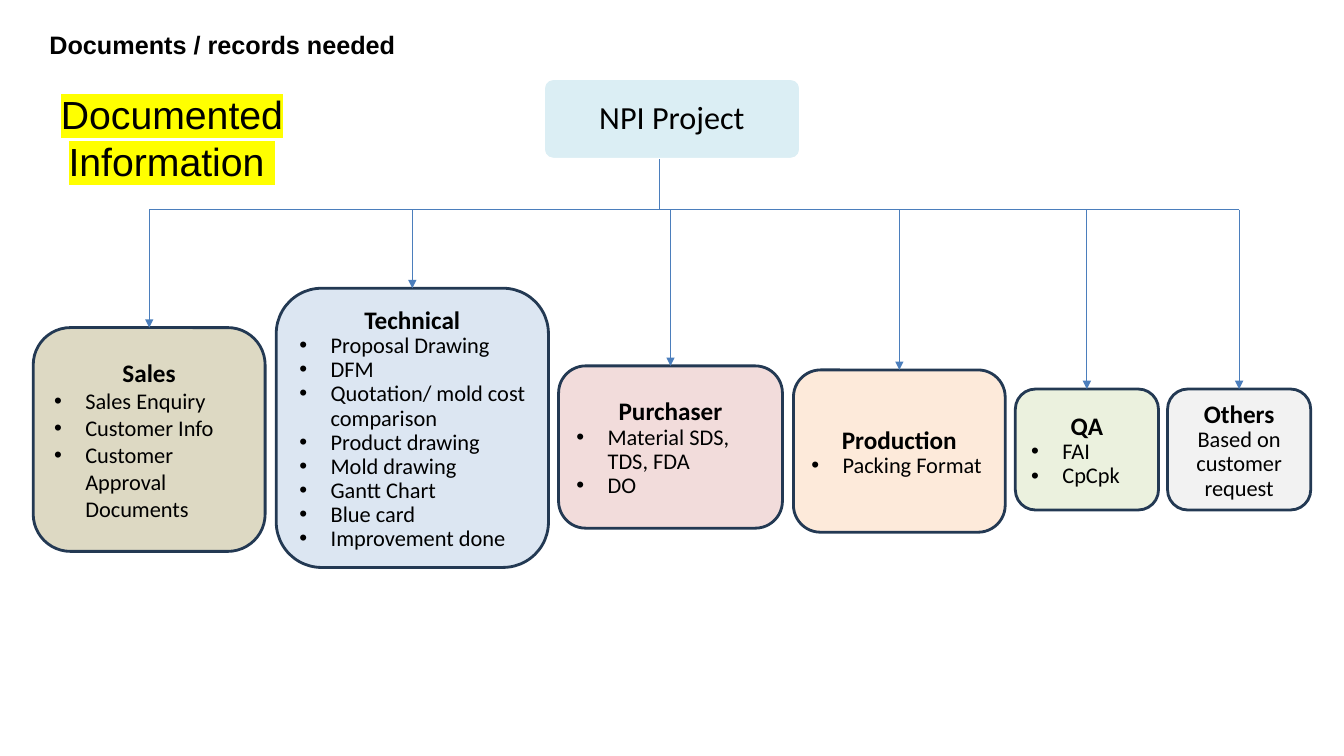
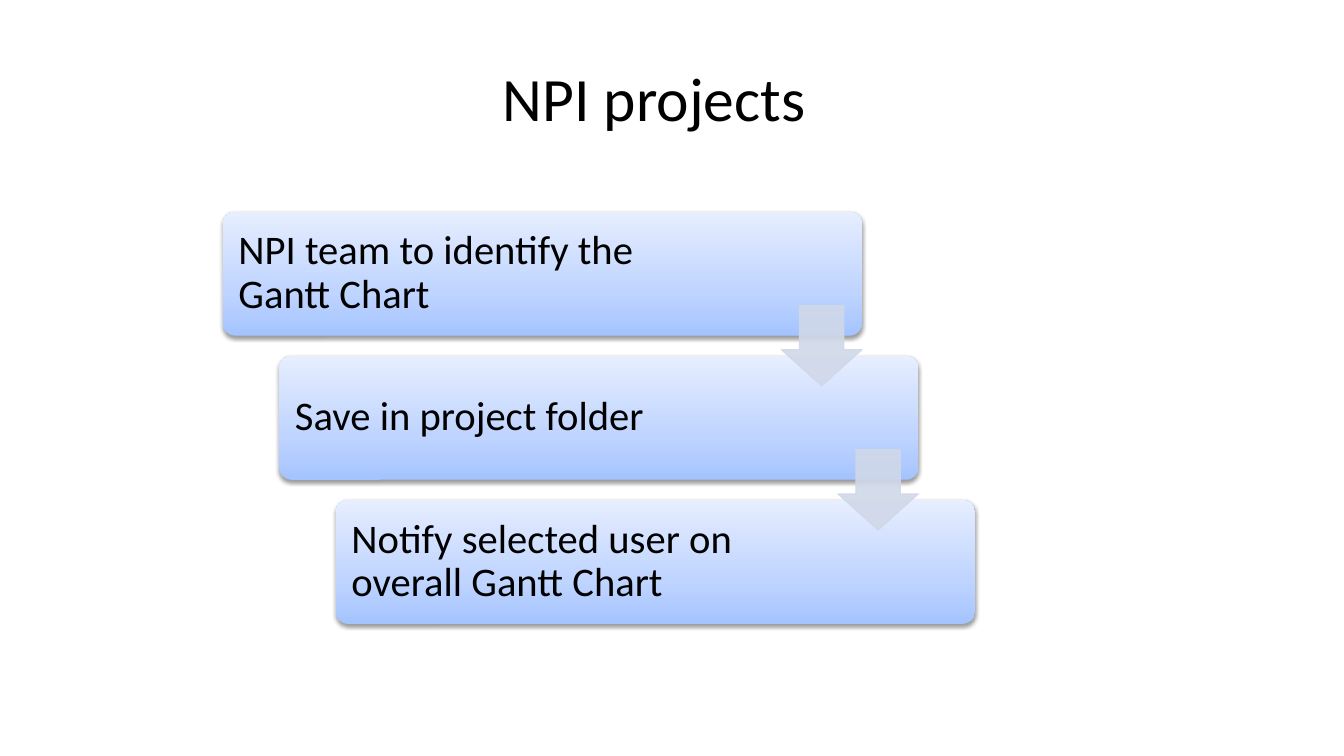
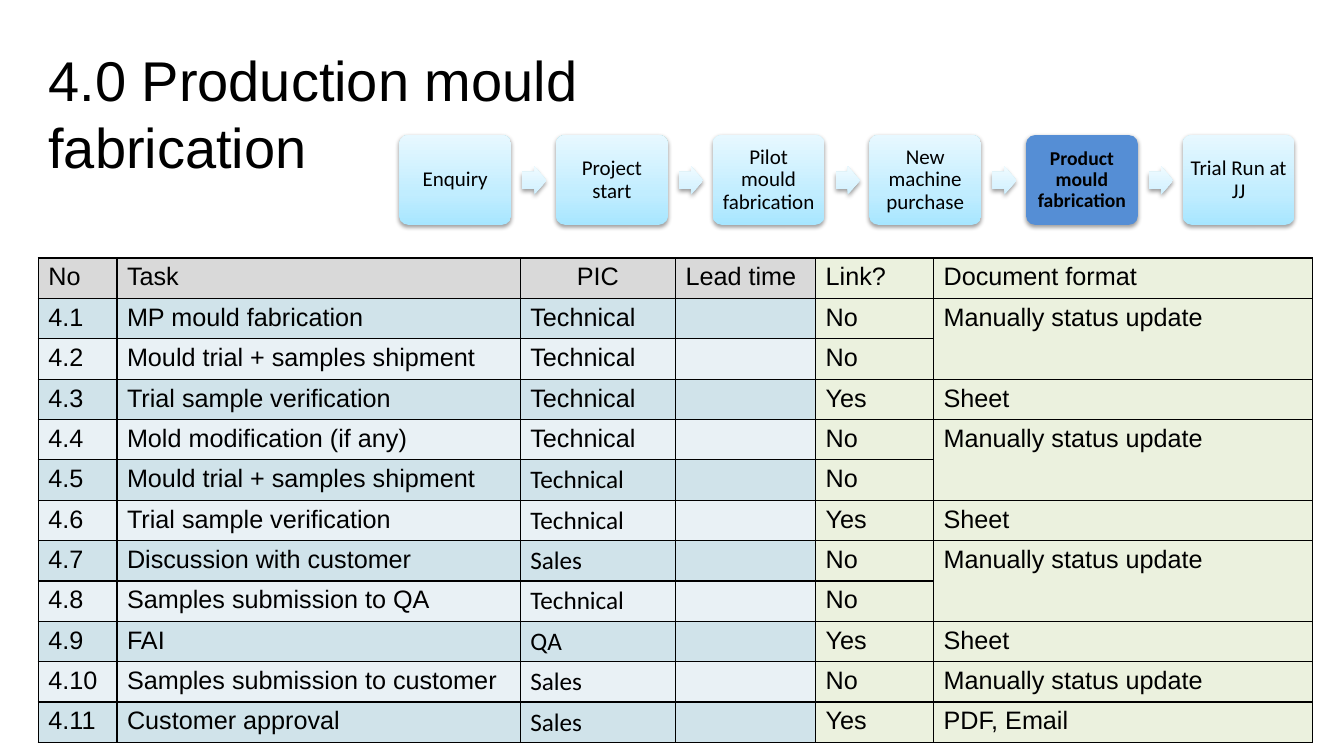
from lxml import etree
from pptx import Presentation
from pptx.dml.color import RGBColor
from pptx.enum.shapes import MSO_CONNECTOR, MSO_SHAPE
from pptx.enum.text import MSO_ANCHOR, MSO_AUTO_SIZE, PP_ALIGN
from pptx.oxml.ns import qn
from pptx.util import Inches, Pt

LEFT, CENTER = PP_ALIGN.LEFT, PP_ALIGN.CENTER
TOP, MIDDLE = MSO_ANCHOR.TOP, MSO_ANCHOR.MIDDLE
ROUNDED = MSO_SHAPE.ROUNDED_RECTANGLE
RIGHT_ARROW, DOWN_ARROW = MSO_SHAPE.RIGHT_ARROW, MSO_SHAPE.DOWN_ARROW
STRAIGHT = MSO_CONNECTOR.STRAIGHT
TITLE_ONLY = 5
SIDE_TOP = 0

# Colours
BLACK = RGBColor(0x00, 0x00, 0x00)
WHITE = RGBColor(0xFF, 0xFF, 0xFF)
YELLOW = RGBColor(0xFF, 0xFF, 0x00)
PALE_AQUA = RGBColor(0xDB, 0xEE, 0xF4)
NAVY = RGBColor(0x23, 0x39, 0x53)
LINE_BLUE = RGBColor(0x4B, 0x7E, 0xBC)
TAN = RGBColor(0xDD, 0xD9, 0xC3)
PALE_BLUE = RGBColor(0xDC, 0xE6, 0xF2)
PINK = RGBColor(0xF2, 0xDC, 0xDB)
PEACH = RGBColor(0xFD, 0xEA, 0xDA)
PALE_GREEN = RGBColor(0xEB, 0xF1, 0xDE)
PALE_GREY = RGBColor(0xF2, 0xF2, 0xF2)
HEADER_GREY = RGBColor(0xD9, 0xD9, 0xD9)
BAND_DARK = RGBColor(0xD0, 0xE3, 0xEA)
BAND_LIGHT = RGBColor(0xE9, 0xF1, 0xF5)
STEP_ARROW = RGBColor(0xD0, 0xD8, 0xE8)
ACTIVE_BLUE = RGBColor(0x55, 0x8E, 0xD5)

# Gradients from bottom to top: colours at 0, 35 and 100 %
BLUE_GRADIENT = (RGBColor(0xA4, 0xC4, 0xFF), RGBColor(0xBF, 0xD4, 0xFF), RGBColor(0xE6, 0xEE, 0xFF))
AQUA_GRADIENT = (RGBColor(0xA7, 0xE6, 0xFF), RGBColor(0xC1, 0xED, 0xFF), RGBColor(0xE7, 0xF8, 0xFF))
ARROW_GRADIENT = (RGBColor(0xCE, 0xF0, 0xFF), RGBColor(0xDB, 0xF4, 0xFF), RGBColor(0xF1, 0xFB, 0xFF))

DEPARTMENTS = [  # name, left, top, width, height, fill, line spacing, bulleted, items
    ("Sales", 0.33, 3.25, 2.3, 2.22, TAN, 1.0, True,
     ["Sales Enquiry", "Customer Info", "Customer Approval Documents"]),
    ("Technical", 2.74, 2.86, 2.7, 2.77, PALE_BLUE, 0.9, True,
     ["Proposal Drawing", "DFM", "Quotation/ mold cost comparison", "Product drawing",
      "Mold drawing", "Gantt Chart", "Blue card", "Improvement done"]),
    ("Purchaser", 5.54, 3.63, 2.22, 1.61, PINK, 0.9, True, ["Material SDS, TDS, FDA", "DO"]),
    ("Production", 7.87, 3.67, 2.1, 1.61, PEACH, 0.9, True, ["Packing Format"]),
    ("QA", 10.07, 3.86, 1.42, 1.2, PALE_GREEN, 0.9, True, ["FAI", "CpCpk"]),
    ("Others", 11.58, 3.86, 1.42, 1.2, PALE_GREY, 0.9, False, ["Based on customer request"]),
]

PROJECT_STEPS = ["NPI team to identify the Gantt Chart", "Save in project folder",
                 "Notify selected user on overall Gantt Chart"]

STAGES = ["Enquiry", "Project start", "Pilot mould fabrication", "New machine purchase",
          "Product mould fabrication", "Trial Run at JJ"]
ACTIVE_STAGE = 4

TASK_HEADER = ["No", "Task", "PIC", "Lead time", "Link?", "Document format"]
MANUAL = "Manually status update"
TASKS = [  # task, person in charge, link, document format (None joins the cell above)
    ("MP mould fabrication", "Technical", "No", MANUAL),
    ("Mould trial + samples shipment", "Technical", "No", None),
    ("Trial sample verification", "Technical", "Yes", "Sheet"),
    ("Mold modification (if any)", "Technical", "No", MANUAL),
    ("Mould trial + samples shipment", "Technical", "No", None),
    ("Trial sample verification", "Technical", "Yes", "Sheet"),
    ("Discussion with customer", "Sales", "No", MANUAL),
    ("Samples submission to QA", "Technical", "No", None),
    ("FAI", "QA", "Yes", "Sheet"),
    ("Samples submission to customer", "Sales", "No", MANUAL),
    ("Customer approval", "Sales", "Yes", "PDF, Email"),
]
FIRST_CALIBRI_ROW = 5


def inches(*lengths):
    return [Inches(length) for length in lengths]


def add_element(parent, tag, **attributes):
    element = etree.SubElement(parent, qn(tag))
    for name, value in attributes.items():
        element.set(name, str(value))
    return element


def format_paragraph(paragraph, size, font="Calibri", bold=False, align=LEFT, spacing=None):
    paragraph.alignment = align
    if spacing:
        paragraph.line_spacing = spacing
    paragraph.font.size = Pt(size)
    paragraph.font.name = font
    paragraph.font.bold = bold
    paragraph.font.color.rgb = BLACK


def add_bullet(paragraph):
    properties = paragraph._p.get_or_add_pPr()
    properties.set("marL", str(Inches(0.31)))
    properties.set("indent", str(-Inches(0.31)))
    add_element(properties, "a:buFont", typeface="Arial")
    add_element(properties, "a:buChar", char="•")


def set_gradient(shape, colours):
    gradient = etree.Element(qn("a:gradFill"), rotWithShape="1")
    stops = add_element(gradient, "a:gsLst")
    for position, colour in zip((0, 35000, 100000), colours):
        add_element(add_element(stops, "a:gs", pos=position), "a:srgbClr", val=colour)
    add_element(gradient, "a:lin", ang=270 * 60000, scaled=0)
    shape._element.spPr.find(qn("a:prstGeom")).addnext(gradient)


def set_shadow(shape):
    effects = shape._element.spPr.find(qn("a:effectLst"))
    shadow = add_element(effects, "a:outerShdw", blurRad=40000, dist=20000,
                         dir=5400000, rotWithShape=0)
    add_element(add_element(shadow, "a:srgbClr", val=BLACK), "a:alpha", val=38000)


def add_shape(slide, kind, box, fill, line=None, line_width=2, adjustments=(), shadow=False):
    """Add a preset shape; fill is one colour or a gradient of three."""
    shape = slide.shapes.add_shape(kind, *inches(*box))
    for index, value in enumerate(adjustments):
        shape.adjustments[index] = value
    if isinstance(fill, RGBColor):
        shape.fill.solid()
        shape.fill.fore_color.rgb = fill
    else:
        set_gradient(shape, fill)
    if line is None:
        shape.line.fill.background()
    else:
        shape.line.color.rgb = line
        shape.line.width = Pt(line_width)
    shape.shadow.inherit = False
    if shadow:
        set_shadow(shape)
    return shape


def set_label(shape, text, size, margin, right_margin=None, align=CENTER, bold=False):
    frame = shape.text_frame
    frame.word_wrap = True
    frame.vertical_anchor = MIDDLE
    frame.margin_left = frame.margin_top = frame.margin_bottom = Inches(margin)
    frame.margin_right = Inches(margin if right_margin is None else right_margin)
    frame.text = text
    format_paragraph(frame.paragraphs[0], size, bold=bold, align=align, spacing=0.9)


def add_line(slide, start, end, arrow=False):
    line = slide.shapes.add_connector(STRAIGHT, *inches(*start, *end))
    line.line.color.rgb = LINE_BLUE
    line.line.width = Pt(0.75)
    if arrow:
        add_element(line.line._get_or_add_ln(), "a:tailEnd", type="triangle")
    add_element(line._element.spPr, "a:effectLst")
    return line


def add_titled_slide(presentation, text, box, size, font="Arial", bold=False,
                     align=LEFT, anchor=TOP, fit=MSO_AUTO_SIZE.SHAPE_TO_FIT_TEXT):
    slide = presentation.slides.add_slide(presentation.slide_layouts[TITLE_ONLY])
    title = slide.shapes.title
    title.left, title.top, title.width, title.height = inches(*box)
    title.text_frame.text = text
    title.text_frame.word_wrap = True
    title.text_frame.auto_size = fit
    title.text_frame.vertical_anchor = anchor
    format_paragraph(title.text_frame.paragraphs[0], size, font, bold, align)
    return slide


# Slide 1: documents by department
def add_department(slide, name, left, top, width, height, fill, spacing, bulleted, items):
    card = add_shape(slide, ROUNDED, (left, top, width, height), fill, NAVY)
    frame = card.text_frame
    frame.word_wrap = True
    frame.vertical_anchor = MIDDLE
    frame.text = name
    format_paragraph(frame.paragraphs[0], 18, bold=True, align=CENTER)
    for item in items:
        paragraph = frame.add_paragraph()
        paragraph.text = item
        if bulleted:
            add_bullet(paragraph)
        format_paragraph(paragraph, 16, align=LEFT if bulleted else CENTER, spacing=spacing)
    return card


def add_highlighted_note(slide, text, box):
    frame = slide.shapes.add_textbox(*inches(*box)).text_frame
    frame.word_wrap = True
    paragraph = frame.paragraphs[0]
    run = paragraph.add_run()
    run.text = text
    highlight = add_element(run._r.get_or_add_rPr(), "a:highlight")
    add_element(highlight, "a:srgbClr", val=YELLOW)
    format_paragraph(paragraph, 28, "Arial", align=CENTER)


def add_document_tree(slide, bus_top):
    root = add_shape(slide, ROUNDED, (5.39, 0.78, 2.55, 0.8), PALE_AQUA, WHITE, adjustments=[0.12])
    set_label(root, "NPI Project", 23, 0.06)
    add_line(slide, (6.54, 1.58), (6.54, bus_top))
    centers = [left + width / 2 for _, left, _, width, *_ in DEPARTMENTS]
    add_line(slide, (centers[0], bus_top), (centers[-1], bus_top))
    for center, department in zip(centers, DEPARTMENTS):
        card = add_department(slide, *department)
        arrow = add_line(slide, (center, bus_top), (center, department[2]), arrow=True)
        arrow.end_connect(card, SIDE_TOP)


def build_documents_slide(presentation):
    slide = add_titled_slide(presentation, "Documents / records needed",
                             (0.39, 0.24, 6.16, 0.4), 18, bold=True)
    add_document_tree(slide, 2.08)
    add_highlighted_note(slide, "Documented Information ", (0.31, 0.85, 2.79, 1.04))


# Slide 2: staircase of project steps
def add_staircase(slide, left, top):
    width, height, arrow_size = 6.34, 1.23, 0.8
    corners = [(left + 0.56 * index, top + 1.43 * index) for index in range(len(PROJECT_STEPS))]
    for (x, y), text in zip(corners, PROJECT_STEPS):
        step = add_shape(slide, ROUNDED, (x, y, width, height), BLUE_GRADIENT,
                         adjustments=[0.1], shadow=True)
        set_label(step, text, 29, 0.12, right_margin=1.4, align=LEFT)
    for x, y in corners[:-1]:
        box = (x + width - arrow_size, y + 0.93, arrow_size, arrow_size)
        arrow = add_shape(slide, DOWN_ARROW, box, STEP_ARROW, STEP_ARROW, 0.75, [0.55, 0.45])
        for colour in arrow._element.spPr.findall(".//" + qn("a:srgbClr")):
            add_element(colour, "a:alpha", val=90000)


def build_projects_slide(presentation):
    slide = add_titled_slide(presentation, "NPI projects", (0.49, 0.34, 12, 1.25), 44, "Calibri",
                             align=CENTER, anchor=MIDDLE, fit=MSO_AUTO_SIZE.NONE)
    add_staircase(slide, 2.21, 2.1)


# Slide 3: stage flow above the task table
def add_stage_flow(slide, left, top, total_width):
    width, height = 1.11, 0.89
    pitch = (total_width - width) / (len(STAGES) - 1)
    for index, text in enumerate(STAGES):
        x = left + pitch * index
        active = index == ACTIVE_STAGE
        stage = add_shape(slide, ROUNDED, (x, top, width, height),
                          ACTIVE_BLUE if active else AQUA_GRADIENT, adjustments=[0.1], shadow=True)
        set_label(stage, text, 14 if active else 15, 0.05, bold=active)
        if index < len(STAGES) - 1:
            add_shape(slide, RIGHT_ARROW, (x + 1.22, top + 0.31, 0.24, 0.28), ARROW_GRADIENT,
                      adjustments=[0.6, 0.5], shadow=True)


def set_borders(cell):
    properties = cell._tc.get_or_add_tcPr()
    for index, side in enumerate(("a:lnL", "a:lnR", "a:lnT", "a:lnB")):
        line = etree.Element(qn(side), w=str(Pt(1)))
        add_element(add_element(line, "a:solidFill"), "a:srgbClr", val=BLACK)
        properties.insert(index, line)


def add_task_table(slide, left, top):
    columns, row_height = [0.78, 4, 1.54, 1.39, 1.17, 3.76], 0.4
    rows = [TASK_HEADER] + [
        [f"4.{number}", task, person, "", link, document or ""]
        for number, (task, person, link, document) in enumerate(TASKS, 1)]
    box = (left, top, sum(columns), row_height * len(rows))
    table = slide.shapes.add_table(len(rows), len(columns), *inches(*box)).table
    table.first_row = table.horz_banding = False
    for column, width in zip(table.columns, columns):
        column.width = Inches(width)
    for row_index, texts in enumerate(rows):
        table.rows[row_index].height = Inches(row_height)
        band = (BAND_LIGHT, BAND_DARK)[row_index % 2] if row_index else HEADER_GREY
        for column_index, text in enumerate(texts):
            cell = table.cell(row_index, column_index)
            cell.fill.solid()
            cell.fill.fore_color.rgb = band if column_index < 4 else PALE_GREEN
            set_borders(cell)
            cell.text = text
            is_person = column_index == 2
            font = "Calibri" if is_person and row_index >= FIRST_CALIBRI_ROW else "Arial"
            align = CENTER if is_person and row_index == 0 else LEFT
            format_paragraph(cell.text_frame.paragraphs[0], 18, font, align=align)
    for row_index, task in enumerate(TASKS, 1):
        if task[-1] is None:
            table.cell(row_index - 1, 5).merge(table.cell(row_index, 5))


def build_fabrication_slide(presentation):
    slide = add_titled_slide(presentation, "4.0 Production mould fabrication",
                             (0.38, 0.4, 7.71, 0.77), 40)
    add_stage_flow(slide, 3.96, 1.34, 8.88)
    add_task_table(slide, 0.38, 2.56)


def main():
    presentation = Presentation()
    presentation.slide_width, presentation.slide_height = inches(13.33, 7.5)
    build_documents_slide(presentation)
    build_projects_slide(presentation)
    build_fabrication_slide(presentation)
    presentation.save("out.pptx")


if __name__ == "__main__":
    main()
